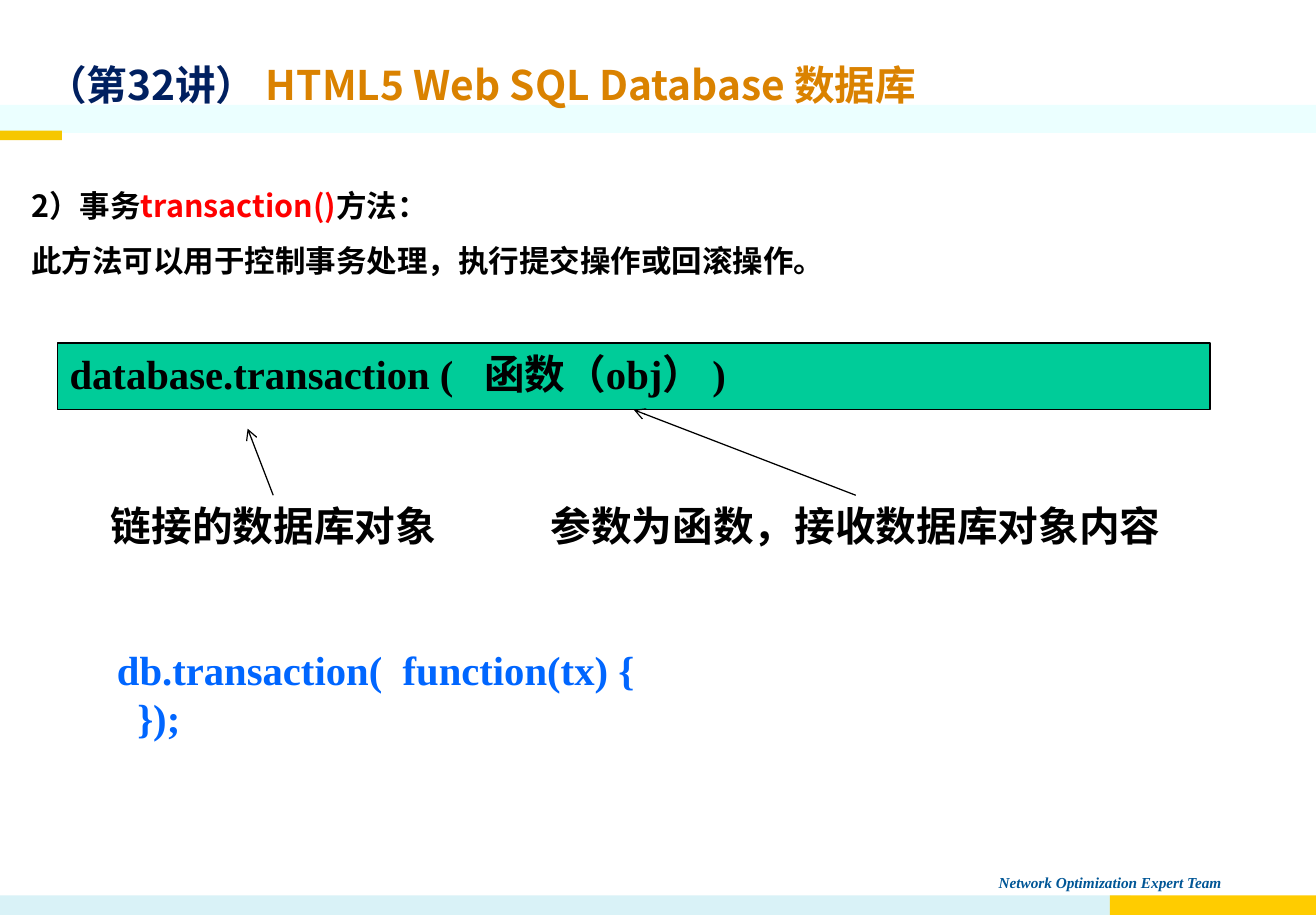
from dataclasses import dataclass

from lxml.etree import SubElement
from pptx import Presentation
from pptx.dml.color import RGBColor
from pptx.enum.shapes import MSO_CONNECTOR, MSO_SHAPE
from pptx.enum.text import MSO_ANCHOR, MSO_AUTO_SIZE, PP_ALIGN
from pptx.oxml.ns import qn
from pptx.util import Pt


@dataclass(frozen=True)
class Theme:
    # Colours
    ink: str = "000000"
    navy: str = "002060"
    orange: str = "DA8200"
    red: str = "FF0000"
    code: str = "0066FF"
    green: str = "00CC99"
    footer: str = "005696"
    header_band: str = "EBFFFF"
    footer_band: str = "D9F2F7"
    footer_accent: str = "FFCC00"
    header_accent: str = "F6C700"
    # Fonts and type sizes
    sans: str = "Noto Sans CJK SC"
    serif: str = "Times New Roman"
    large: float = 24
    body: float = 18
    small: float = 9
    line: float = 0.75


THEME = Theme()
WIDTH, HEIGHT = 776.88, 540


def rgb(value):
    return RGBColor.from_string(value)


def write(sp, paragraphs, font=THEME.serif, size=THEME.large, italic=False,
          align=PP_ALIGN.LEFT, wrap=True, spacing=None, before=0):
    """Fill a shape; each paragraph is a list of (text, colour) runs."""
    tf = sp.text_frame
    tf.auto_size = MSO_AUTO_SIZE.NONE
    tf.word_wrap = wrap
    tf.vertical_anchor = MSO_ANCHOR.TOP
    for i, runs in enumerate(paragraphs):
        p = tf.add_paragraph() if i else tf.paragraphs[0]
        p.alignment = align
        p.space_before = Pt(before)
        if spacing:
            p.line_spacing = spacing
        for text, color in runs:
            r = p.add_run()
            r.text = text
            r.font.name = font
            r.font.size = Pt(size)
            r.font.bold = True
            r.font.italic = italic
            r.font.color.rgb = rgb(color)
            SubElement(r.font._element, qn("a:ea"), typeface=THEME.sans)


def add_text(s, x, y, w, h, paragraphs, **fmt):
    sp = s.shapes.add_textbox(Pt(x), Pt(y), Pt(w), Pt(h))
    write(sp, paragraphs, **fmt)
    return sp


def add_box(s, x, y, w, h, fill, line=None):
    sp = s.shapes.add_shape(MSO_SHAPE.RECTANGLE, Pt(x), Pt(y), Pt(w), Pt(h))
    sp.shadow.inherit = False
    sp.fill.solid()
    sp.fill.fore_color.rgb = rgb(fill)
    if line:
        sp.line.color.rgb = rgb(line)
        sp.line.width = Pt(THEME.line)
    else:
        sp.line.fill.background()
    return sp


def add_arrow(s, label, x, y, target=None):
    """Arrow from the top of a label to a point, or to the bottom of a box."""
    c = s.shapes.add_connector(MSO_CONNECTOR.STRAIGHT, 0, 0, Pt(x), Pt(y))
    c.begin_connect(label, 0)
    if target is not None:
        c.end_connect(target, 2)
    c.line.color.rgb = rgb(THEME.ink)
    c.line.width = Pt(THEME.line)
    SubElement(c.line._get_or_add_ln(), qn("a:tailEnd"), type="arrow")
    SubElement(c._element.spPr, qn("a:effectLst"))


def add_title(s, x, y, w, h, runs):
    sp = s.shapes.title
    sp.left, sp.top, sp.width, sp.height = Pt(x), Pt(y), Pt(w), Pt(h)
    write(sp, [runs], font=THEME.sans, align=PP_ALIGN.JUSTIFY)
    # Bring the title in front of the header band
    sp.element.getparent().append(sp.element)


def add_frame(s):
    add_text(s, 582.5, 512, 206.6, 18,
             [[("Network Optimization Expert Team", THEME.footer)]],
             size=THEME.small, italic=True, before=5.6)
    add_box(s, 0, 62, WIDTH, 16.5, THEME.header_band)
    add_box(s, 0, 528.5, 667.5, 11.5, THEME.footer_band)
    add_box(s, 655.2, 528.5, WIDTH - 655.2, 11.5, THEME.footer_accent)
    add_box(s, 0, 77.2, 36.5, 5.6, THEME.header_accent)


def main():
    prs = Presentation()
    prs.slide_width, prs.slide_height = Pt(WIDTH), Pt(HEIGHT)
    s = prs.slides.add_slide(prs.slide_layouts[5])

    # Bands, footer and title
    add_frame(s)
    add_title(s, 20, 31.7, 638.6, 36,
              [("（第32讲） ", THEME.navy),
               ("HTML5 Web SQL Database 数据库", THEME.orange)])

    # Introduction
    add_text(s, 11.5, 95.8, 686, 72,
             [[("2）事务", THEME.ink), ("transaction()", THEME.red),
               ("方法：", THEME.ink)],
              [("此方法可以用于控制事务处理，执行提交操作或回滚操作。", THEME.ink)]],
             font=THEME.sans, size=THEME.body, spacing=1.5)

    # Syntax with its two explanations
    syntax = add_box(s, 34, 202.5, 680.4, 39.4, THEME.green, THEME.ink)
    write(syntax, [[("database.transaction (   函数（obj） )", THEME.ink)]])
    database = add_text(s, 58.3, 292.3, 206, 36,
                        [[("链接的数据库对象", THEME.ink)]], wrap=False)
    callback = add_text(s, 318, 292.3, 374.4, 36,
                        [[("参数为函数，接收数据库对象内容", THEME.ink)]],
                        wrap=False)
    add_arrow(s, database, 146.2, 253)
    add_arrow(s, callback, 374.2, 241.9, target=syntax)

    # Code example
    add_text(s, 62, 376.8, 494.6, 65,
             [[("db.transaction(  function(tx) {", THEME.code)],
              [("  });", THEME.code)]])

    prs.save("out.pptx")


if __name__ == "__main__":
    main()
